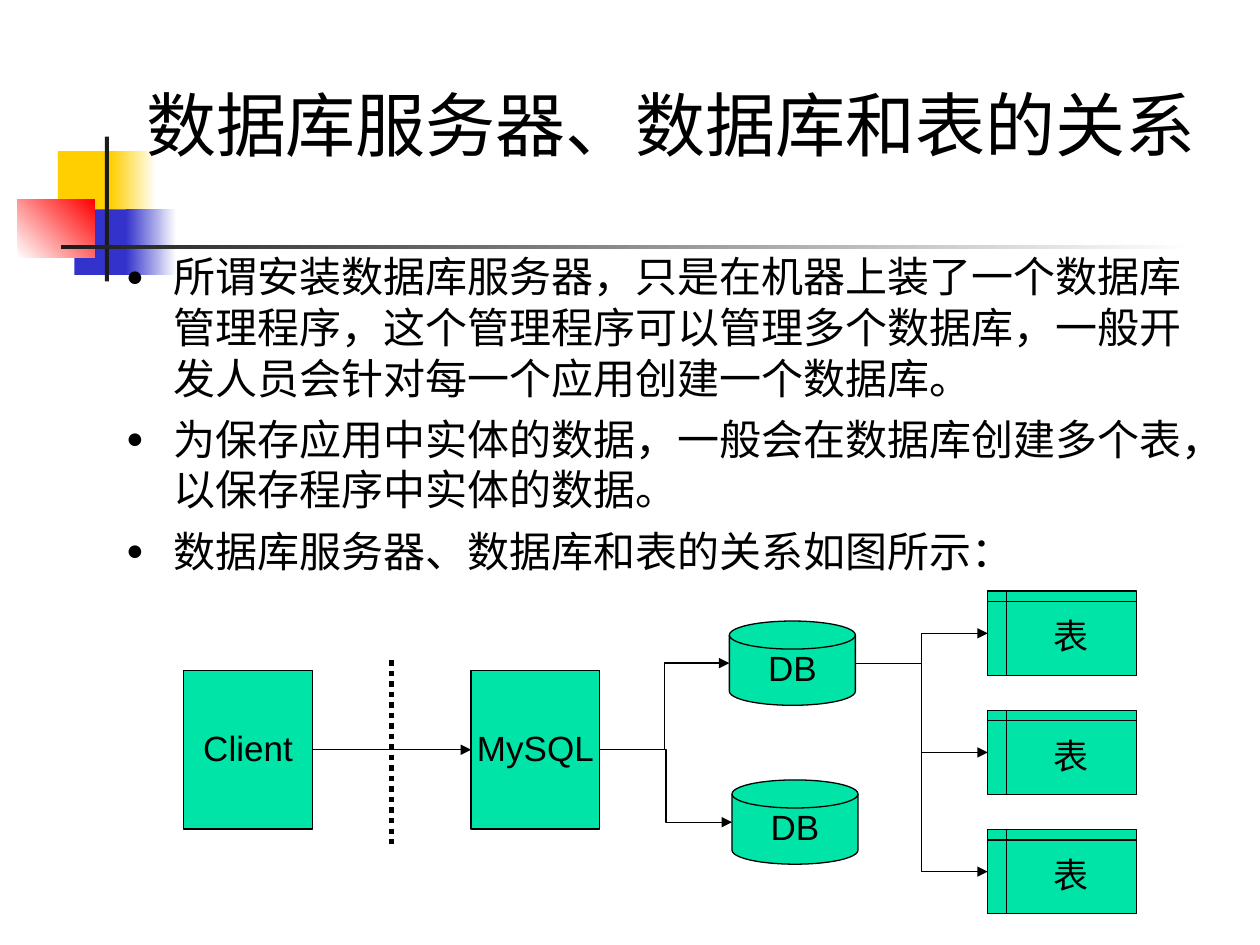
"""Build a slide relating a database server, its databases and their tables."""
from lxml import etree
from pptx import Presentation
from pptx import util as u
from pptx.dml.color import RGBColor
from pptx.enum import dml, shapes, text
from pptx.oxml.ns import qn

COLORS = {
    "yellow": "FFCF01", "blue": "3333CC", "red": "FF0000", "white": "FFFFFF",
    "charcoal": "1C1C1C", "green": "00E4A8", "black": "000000",
}
RGB = {name: RGBColor.from_string(value) for name, value in COLORS.items()}
SHAPE = shapes.MSO_SHAPE
CONNECTOR = shapes.MSO_CONNECTOR

presentation = Presentation()
presentation.slide_width, presentation.slide_height = u.Pt(720), u.Pt(540)
slide = presentation.slides.add_slide(presentation.slide_layouts[1])


def add_box(kind, left, top, width, height, color):
    shape = slide.shapes.add_shape(kind, u.Pt(left), u.Pt(top), u.Pt(width), u.Pt(height))
    shape.shadow.inherit = False
    shape.fill.solid()
    shape.fill.fore_color.rgb = RGB[color]
    shape.line.fill.background()
    return shape


def add_line(kind, begin, end, width=0.75, arrow=True):
    connector = slide.shapes.add_connector(kind, *(u.Pt(value) for value in (*begin, *end)))
    connector.line.color.rgb = RGB["black"]
    connector.line.width = u.Pt(width)
    if arrow:
        etree.SubElement(connector.line._get_or_add_ln(), qn("a:tailEnd"), type="triangle")
    etree.SubElement(connector.element.spPr, qn("a:effectLst"))
    return connector


decorations = [
    (33.1, 86.4, 34.6, 37.4, "yellow", None, 0),
    (63.4, 86.4, 25.9, 37.4, "yellow", "white", 0),
    (42.5, 119.7, 33.1, 37.4, "blue", None, 0),
    (72, 119.7, 28.8, 37.4, "blue", "white", 0),
    (10, 113.8, 44.2, 33.4, "white", "red", 45),
    (59.9, 78, 2.4, 82.8, "charcoal", None, 0),
    (34.8, 140, 648, 2.6, "charcoal", "white", 0),
]
for left, top, width, height, color, fade, angle in decorations:
    shape = add_box(SHAPE.RECTANGLE, left, top, width, height, color)
    if fade:
        shape.fill.gradient()
        shape.fill.gradient_angle = angle
        for stop, name in zip(shape.fill.gradient_stops, (color, fade)):
            stop.color.rgb = RGB[name]

server_top, server_width, server_height = 383.1, 73.5, 90.7
client_left, mysql_left = 105, 269.2
disk_width, box_height = 72, 48.2
disks = [(416.8, 354.9), (418.3, 445.7)]
table_left, table_width = 564.4, 85
table_tops = [337.8 + 68.1 * row for row in range(3)]

nodes = [
    (SHAPE.RECTANGLE, left, server_top, server_width, server_height, label)
    for left, label in ((client_left, "Client"), (mysql_left, "MySQL"))
]
nodes += [(SHAPE.FLOWCHART_MAGNETIC_DISK, *disk, disk_width, box_height, "DB") for disk in disks]
nodes += [
    (SHAPE.FLOWCHART_INTERNAL_STORAGE, table_left, top, table_width, box_height, "表")
    for top in table_tops
]
node_shapes = []
for kind, left, top, width, height, label in nodes:
    shape = add_box(kind, left, top, width, height, "green")
    shape.line.color.rgb = RGB["black"]
    shape.line.width = u.Pt(0.75)
    frame = shape.text_frame
    frame.word_wrap = False
    frame.vertical_anchor = text.MSO_ANCHOR.MIDDLE
    paragraph = frame.paragraphs[0]
    paragraph.text = label
    paragraph.alignment = text.PP_ALIGN.CENTER
    paragraph.line_spacing = 0.9
    paragraph.font.name = "Arial"
    paragraph.font.size = u.Pt(20)
    paragraph.font.color.rgb = RGB["black"]
    node_shapes.append(shape)

server_middle = server_top + server_height / 2
request = add_line(
    CONNECTOR.STRAIGHT, (client_left + server_width, server_middle), (mysql_left, server_middle)
)
request.begin_connect(node_shapes[0], 3)
request.end_connect(node_shapes[1], 1)

for left, top in disks:
    add_line(
        CONNECTOR.ELBOW,
        (mysql_left + server_width, server_middle),
        (left, top + box_height / 2),
    )
disk_left, disk_top = disks[0]
for top in table_tops:
    add_line(
        CONNECTOR.ELBOW,
        (disk_left + disk_width, disk_top + box_height / 2),
        (table_left, top + box_height / 2),
    )

boundary = add_line(CONNECTOR.STRAIGHT, (223.9, 377.3), (223.9, 485.3), width=3, arrow=False)
boundary.line.dash_style = dml.MSO_LINE.ROUND_DOT

title = slide.shapes.title
title.left, title.top, title.width, title.height = (u.Pt(v) for v in (76.3, 26, 625, 72))
title.text_frame.vertical_anchor = text.MSO_ANCHOR.BOTTOM
title.text_frame.auto_size = text.MSO_AUTO_SIZE.NONE
paragraph = title.text_frame.paragraphs[0]
paragraph.text = "数据库服务器、数据库和表的关系"
paragraph.alignment = text.PP_ALIGN.LEFT
paragraph.font.name = "Noto Sans CJK SC"
paragraph.font.size = u.Pt(40)
paragraph.font.color.rgb = RGB["black"]

body = slide.placeholders[1]
body.left, body.top, body.width, body.height = (u.Pt(v) for v in (64.8, 139.7, 617.8, 192.2))
body.text_frame.auto_size = text.MSO_AUTO_SIZE.NONE
body.text_frame.text = "\n".join([
    "所谓安装数据库服务器，只是在机器上装了一个数据库管理程序，这个管理程序可以管理多个数据库，一般开发人员会针对每一个应用创建一个数据库。",
    "为保存应用中实体的数据，一般会在数据库创建多个表，以保存程序中实体的数据。",
    "数据库服务器、数据库和表的关系如图所示：",
])
for index, paragraph in enumerate(body.text_frame.paragraphs):
    properties = paragraph._p.get_or_add_pPr()
    properties.set("marL", str(u.Pt(27)))
    properties.set("indent", str(u.Pt(-27)))
    etree.SubElement(properties, qn("a:buSzPct"), val="70000")
    etree.SubElement(properties, qn("a:buChar"), char="●")
    paragraph.space_before = u.Pt(6 if index else 0)
    paragraph.line_spacing = u.Pt(28.9)
    paragraph.font.name = "Arial"
    paragraph.font.size = u.Pt(24)
    paragraph.font.color.rgb = RGB["black"]

for placeholder in (title, body):
    placeholder.element.getparent().append(placeholder.element)

presentation.save("out.pptx")
